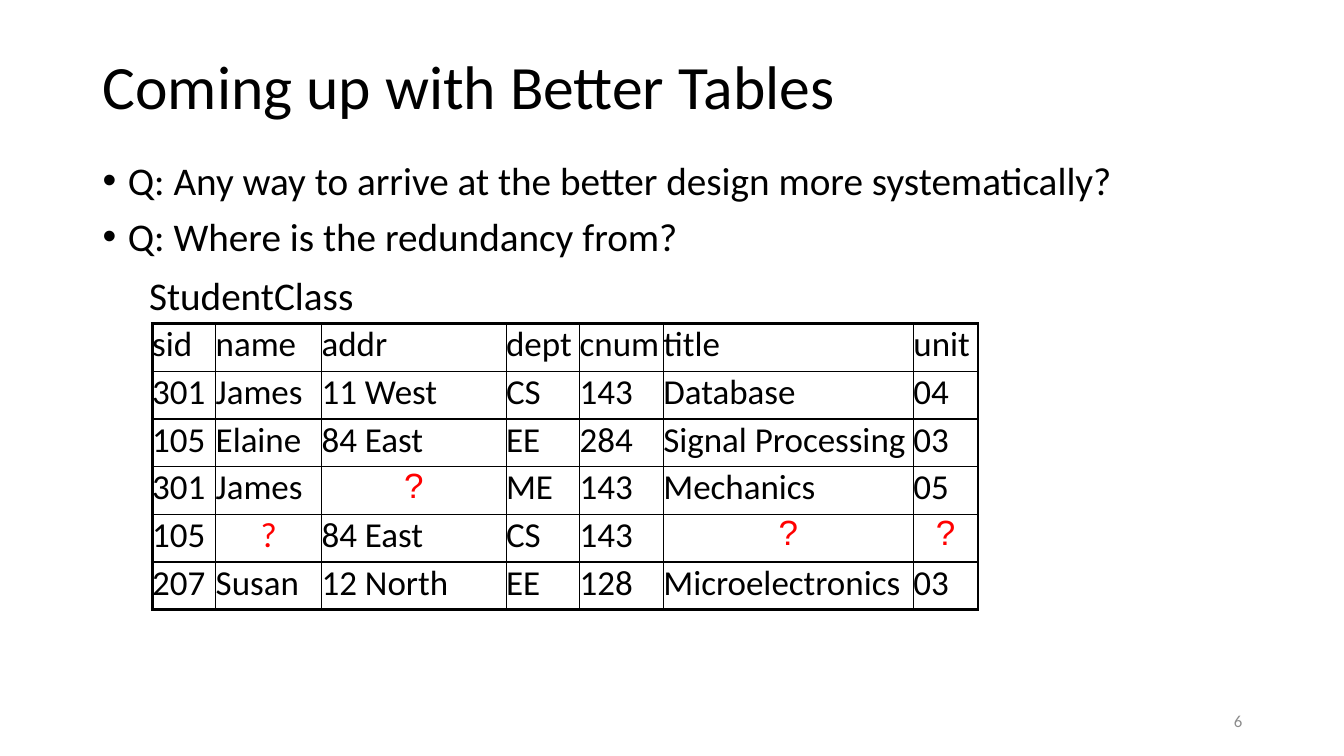
from dataclasses import dataclass

from pptx import Presentation
from pptx.dml.color import RGBColor
from pptx.enum.text import MSO_ANCHOR, MSO_AUTO_SIZE, PP_ALIGN
from pptx.oxml import parse_xml
from pptx.oxml.ns import nsdecls
from pptx.util import Inches, Pt

LEFT, MID, RIGHT = PP_ALIGN.LEFT, PP_ALIGN.CENTER, PP_ALIGN.RIGHT
TOP, MIDDLE = MSO_ANCHOR.TOP, MSO_ANCHOR.MIDDLE
GROW, FIXED = MSO_AUTO_SIZE.SHAPE_TO_FIT_TEXT, MSO_AUTO_SIZE.NONE
BLACK, RED, GRAY = "000000", "FF0000", "8C8C8C"
THIN, THICK = 1, 2.25

COLS = [0.63, 1.05, 1.83, 0.73, 0.83, 2.48, 0.64]
ROWS = [
    ["sid", "name", "addr", "dept", "cnum", "title", "unit"],
    ["301", "James", "11 West", "CS", "143", "Database", "04"],
    ["105", "Elaine", "84 East", "EE", "284", "Signal Processing", "03"],
    ["301", "James", "?", "ME", "143", "Mechanics", "05"],
    ["105", "?", "84 East", "CS", "143", "?", "?"],
    ["207", "Susan", "12 North", "EE", "128", "Microelectronics", "03"],
]
NAME = ROWS[0].index("name")


@dataclass
class Box:
    x: float
    y: float
    w: float
    h: float
    lines: list[str]
    size: float
    color: str = BLACK
    align: PP_ALIGN = LEFT
    anchor: MSO_ANCHOR = TOP
    wrap: bool = True
    lead: float | None = None
    before: float = 0
    bullet: bool = False


BOXES = [
    Box(0.92, 0.4, 11.5, 0.97, ["Coming up with Better Tables"], 44,
        anchor=MIDDLE, lead=0.9),
    Box(0.92, 1.55, 11.5, 5.21,
        ["Q: Any way to arrive at the better design more systematically?",
         "Q: Where is the redundancy from?"],
        28, lead=0.9, before=10, bullet=True),
    Box(1.38, 2.64, 2.25, 0.57, ["StudentClass"], 28, wrap=False),
    Box(9.42, 6.95, 3, 0.4, ["6"], 12, color=GRAY, align=RIGHT, anchor=MIDDLE),
]


def write(para, text: str, *, size: float, color: str = BLACK,
          font: str = "Calibri", align: PP_ALIGN = LEFT) -> None:
    run = para.add_run()
    run.text = text
    run.font.size = Pt(size)
    run.font.name = font
    run.font.color.rgb = RGBColor.from_string(color)
    para.alignment = align


def indent(para, inches: float):
    props = para._p.get_or_add_pPr()
    props.set("marL", str(Inches(inches)))
    props.set("indent", str(-Inches(inches)))
    return props


def draw_box(slide, box: Box) -> None:
    shape = slide.shapes.add_textbox(*map(Inches, (box.x, box.y, box.w, box.h)))
    frame = shape.text_frame
    frame.word_wrap = box.wrap
    frame.auto_size = FIXED if box.wrap else GROW
    frame.vertical_anchor = box.anchor
    for i, line in enumerate(box.lines):
        para = frame.add_paragraph() if i else frame.paragraphs[0]
        write(para, line, size=box.size, color=box.color, align=box.align)
        para.line_spacing = box.lead
        para.space_before = Pt(box.before)
        if box.bullet:
            props = indent(para, 0.25)
            props.append(parse_xml(f'<a:buFont {nsdecls("a")} typeface="Arial"/>'))
            props.append(parse_xml(f'<a:buChar {nsdecls("a")} char="•"/>'))


def edge(cell, side: str, width: float) -> None:
    cell._tc.get_or_add_tcPr().append(parse_xml(
        f'<a:ln{side} {nsdecls("a")} w="{Pt(width)}"><a:solidFill>'
        f'<a:srgbClr val="{BLACK}"/></a:solidFill></a:ln{side}>'))


def draw_cell(cell, text: str, row: int, col: int) -> None:
    cell.margin_left = cell.margin_right = 0
    cell.margin_top = cell.margin_bottom = 0
    para = cell.text_frame.paragraphs[0]
    if text == "?":
        font = "Calibri" if col == NAME else "Arial"
        write(para, text, size=25, color=RED, font=font, align=MID)
    else:
        write(para, text, size=25)
    indent(para, 0.12).insert(0, parse_xml(
        f'<a:spcBef {nsdecls("a")}><a:spcPct val="20000"/></a:spcBef>'))
    # Thick lines run only around the outside
    outer = {"L": col == 0, "R": col == len(COLS) - 1,
             "T": row == 0, "B": row == len(ROWS) - 1}
    for side, thick in outer.items():
        edge(cell, side, THICK if thick else THIN)
    cell.fill.background()


def draw_table(slide) -> None:
    table = slide.shapes.add_table(
        len(ROWS), len(COLS), Inches(1.51), Inches(3.21),
        Inches(sum(COLS)), Inches(2.84)).table
    table.first_row = table.horz_banding = False
    for col, width in zip(table.columns, COLS):
        col.width = Inches(width)
    for r, row in enumerate(ROWS):
        for c, text in enumerate(row):
            draw_cell(table.cell(r, c), text, r, c)


def main() -> None:
    deck = Presentation()
    deck.slide_width, deck.slide_height = Inches(13.33), Inches(7.5)
    slide = deck.slides.add_slide(deck.slide_layouts[6])
    # Title, questions, table name and page number
    for box in BOXES:
        draw_box(slide, box)
    # Student and class records
    draw_table(slide)
    deck.save("out.pptx")


if __name__ == "__main__":
    main()
